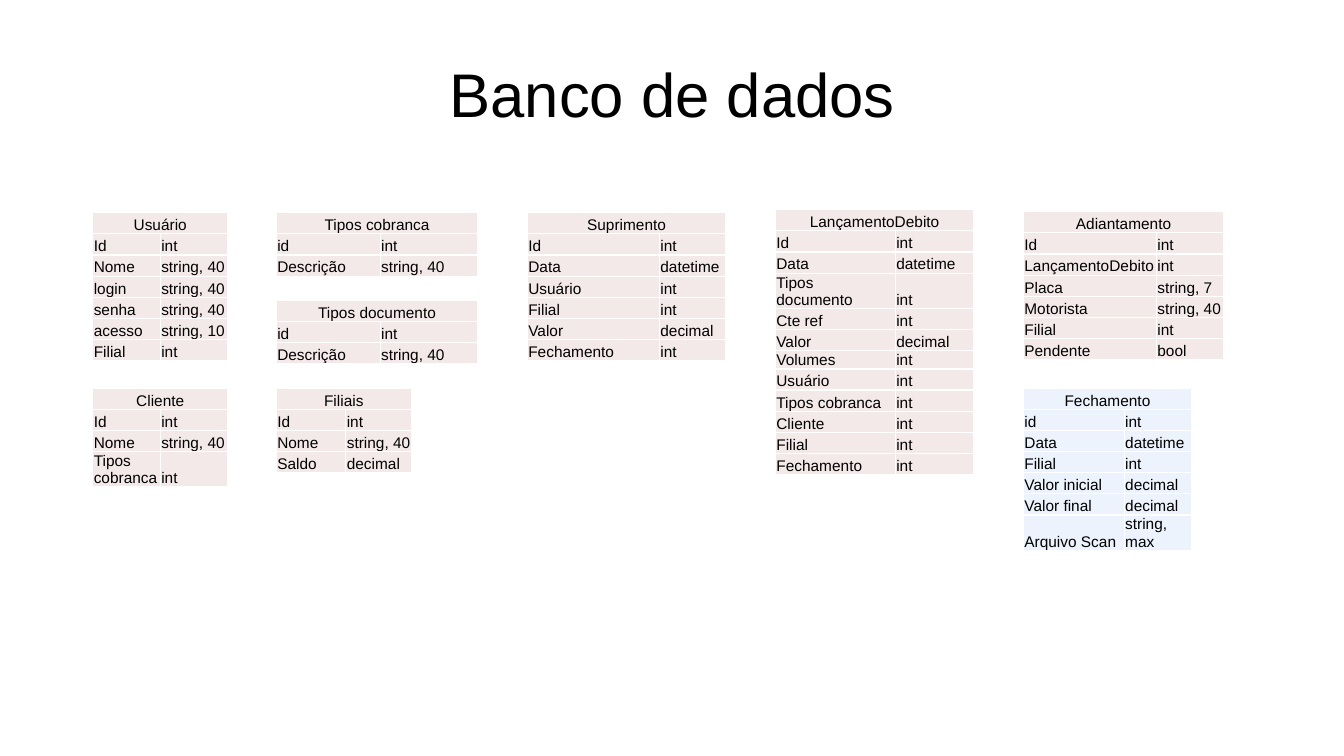
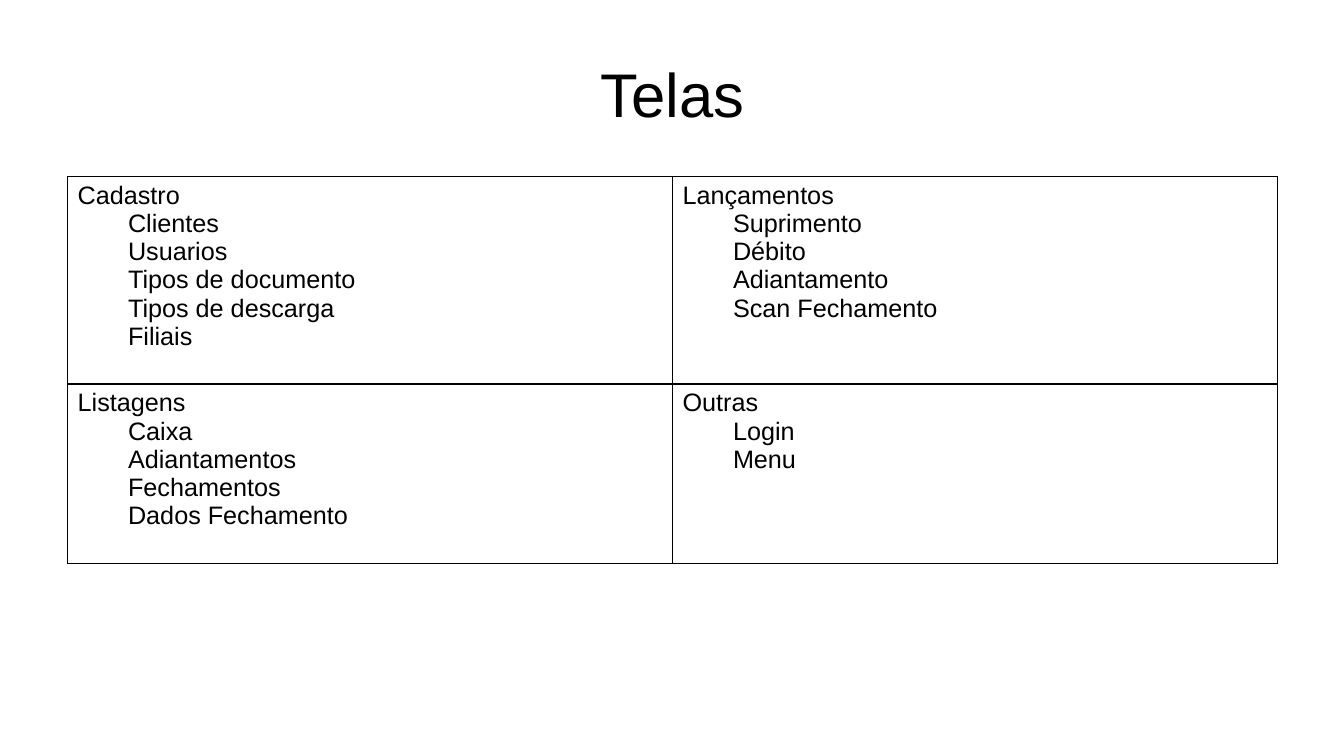
from lxml import etree
from pptx import Presentation
from pptx.dml.color import RGBColor
from pptx.enum.text import MSO_ANCHOR, PP_ALIGN
from pptx.oxml.ns import qn
from pptx.util import Inches, Pt

BLACK = RGBColor(0x00, 0x00, 0x00)
WHITE = RGBColor(0xFF, 0xFF, 0xFF)
ROSE = RGBColor(0xF4, 0xE9, 0xE9)
SKY = RGBColor(0xEC, 0xF3, 0xFC)
FONT = "Arial"
ROW = 0.21
THIN = 0.18
TOP = 2.11
LOW = 3.85


class Deck:
    """Holds the shared style and the current slide."""

    def __init__(self):
        self.prs = Presentation()
        self.prs.slide_width = Inches(13.33)
        self.prs.slide_height = Inches(7.5)
        self.slide = None

    def page(self, text):
        self.slide = self.prs.slides.add_slide(self.prs.slide_layouts[5])
        title = self.slide.shapes.title
        title.left, title.top = Inches(0.67), Inches(0.3)
        title.width, title.height = Inches(12), Inches(1.25)
        title.text_frame.vertical_anchor = MSO_ANCHOR.MIDDLE
        self.label(title.text_frame.paragraphs[0], text, 44, PP_ALIGN.CENTER)

    def label(self, para, text, size, align=PP_ALIGN.LEFT):
        para.alignment = align
        run = para.add_run()
        run.text = text
        run.font.size = Pt(size)
        run.font.name = FONT
        run.font.color.rgb = BLACK

    def border(self, cell, color):
        props = cell._tc.get_or_add_tcPr()
        for spot, side in enumerate(("lnL", "lnR", "lnT", "lnB")):
            line = etree.Element(qn("a:" + side), w=str(Pt(1)))
            fill = etree.SubElement(line, qn("a:solidFill"))
            etree.SubElement(fill, qn("a:srgbClr"), val=str(color))
            props.insert(spot, line)

    def grid(self, left, top, cols, rows, edge, fill=None):
        frame = self.slide.shapes.add_table(
            len(rows), len(cols), Inches(left), Inches(top),
            Inches(sum(cols)), Inches(sum(rows)))
        table = frame.table
        table.first_row = table.horz_banding = False
        for col, width in zip(table.columns, cols):
            col.width = Inches(width)
        for row, height in zip(table.rows, rows):
            row.height = Inches(height)
        for cell in table.iter_cells():
            if fill is None:
                cell.fill.background()
            else:
                cell.fill.solid()
                cell.fill.fore_color.rgb = fill
            self.border(cell, edge)
        return table

    def entity(self, name, left, top, cols, fields, fill=ROSE, thin=None):
        pairs = [field.split(":") for field in fields.split("; ")]
        rows = [ROW] + [THIN if key == thin else ROW for key, kind in pairs]
        table = self.grid(left, top, cols, rows, WHITE, fill)
        for cell in table.iter_cells():
            cell.margin_left = cell.margin_right = Inches(0.01)
            cell.margin_top, cell.margin_bottom = Inches(0.01), 0
            cell.vertical_anchor = MSO_ANCHOR.BOTTOM
        head = table.cell(0, 0)
        head.merge(table.cell(0, 1))
        self.label(head.text_frame.paragraphs[0], name, 11, PP_ALIGN.CENTER)
        for num, pair in enumerate(pairs, 1):
            for col, text in enumerate(pair):
                para = table.cell(num, col).text_frame.paragraphs[0]
                self.label(para, text, 11)

    def menu(self, cell, head, items):
        frame = cell.text_frame
        self.label(frame.paragraphs[0], head, 18)
        for item in items:
            para = frame.add_paragraph()
            para.level = 1
            props = para._p.get_or_add_pPr()
            props.set("marL", str(Inches(0.5)))
            props.set("indent", "0")
            self.label(para, item, 18)


deck = Deck()

deck.page("Banco de dados")
deck.entity("Usuário", 0.92, TOP, (0.67, 0.67),
            "Id:int; Nome:string, 40; login:string, 40; senha:string, 40; "
            "acesso:string, 10; Filial:int")
deck.entity("Cliente", 0.92, LOW, (0.67, 0.67),
            "Id:int; Nome:string, 40; Tipos cobranca:int")
deck.entity("Filiais", 2.74, LOW, (0.69, 0.65),
            "Id:int; Nome:string, 40; Saldo:decimal")
for name, top in (("Tipos cobranca", TOP), ("Tipos documento", 2.98)):
    deck.entity(name, 2.74, top, (1.03, 0.97),
                "id:int; Descrição:string, 40")
deck.entity("LançamentoDebito", 7.69, 2.08, (1.19, 0.78),
            "Id:int; Data:datetime; Tipos documento:int; Cte ref:int; "
            "Valor:decimal; Volumes:int; Usuário:int; Tipos cobranca:int; "
            "Cliente:int; Filial:int; Fechamento:int", thin="Volumes")
deck.entity("Adiantamento", 10.15, 2.1, (1.32, 0.67),
            "Id:int; LançamentoDebito:int; Placa:string, 7; "
            "Motorista:string, 40; Filial:int; Pendente:bool")
deck.entity("Suprimento", 5.23, TOP, (1.31, 0.66),
            "Id:int; Data:datetime; Usuário:int; Filial:int; "
            "Valor:decimal; Fechamento:int")
deck.entity("Fechamento", 10.15, LOW, (1, 0.67),
            "id:int; Data:datetime; Filial:int; Valor inicial:decimal; "
            "Valor final:decimal; Arquivo Scan:string, max", SKY)

deck.page("Telas")
menus = (
    ("Cadastro", ("Clientes", "Usuarios", "Tipos de documento",
                  "Tipos de descarga", "Filiais")),
    ("Lançamentos", ("Suprimento", "Débito", "Adiantamento",
                     "Scan Fechamento")),
    ("Listagens", ("Caixa", "Adiantamentos", "Fechamentos",
                   "Dados Fechamento")),
    ("Outras", ("Login", "Menu")),
)
table = deck.grid(0.67, 1.75, (6, 6), (2.06, 1.78), BLACK)
for cell, (head, items) in zip(table.iter_cells(), menus):
    deck.menu(cell, head, items)

deck.prs.save("out.pptx")
